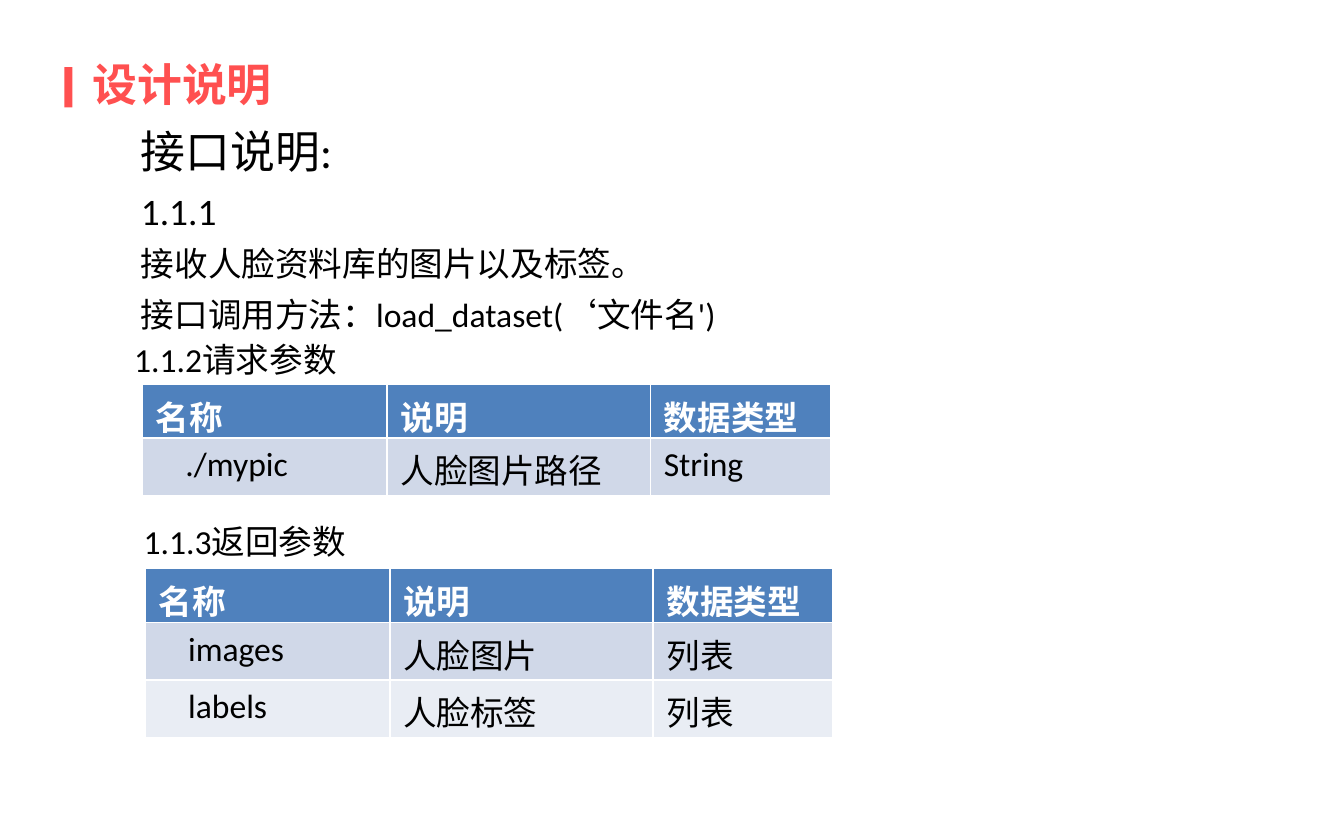
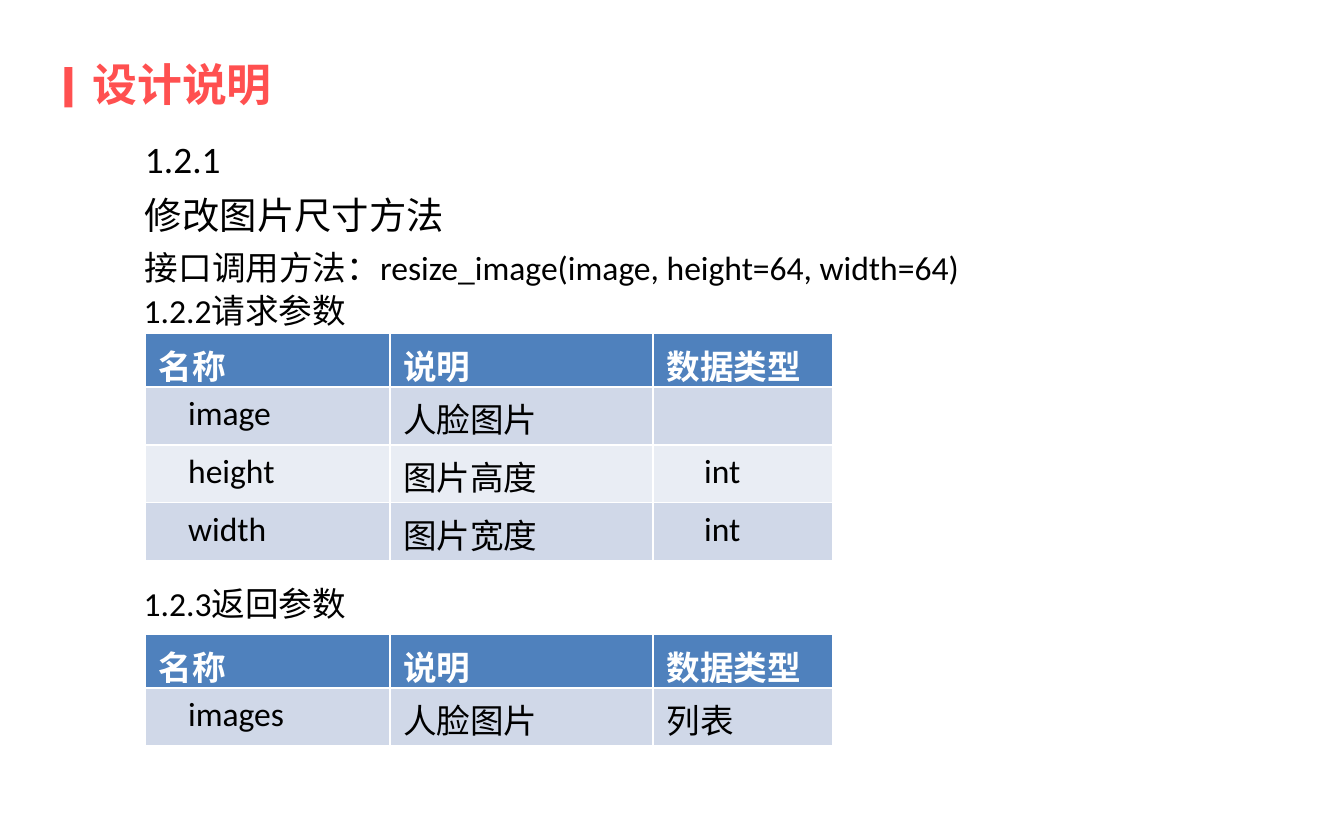
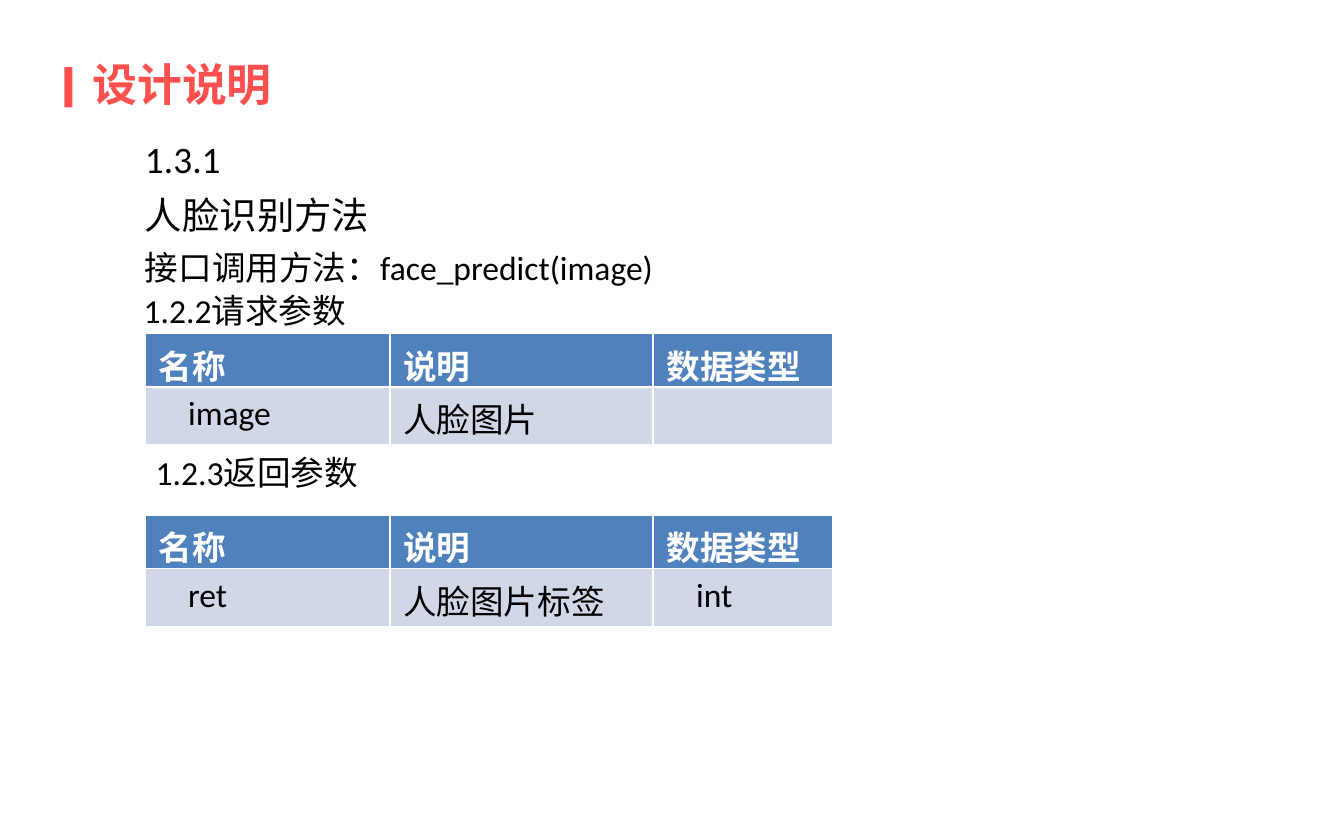
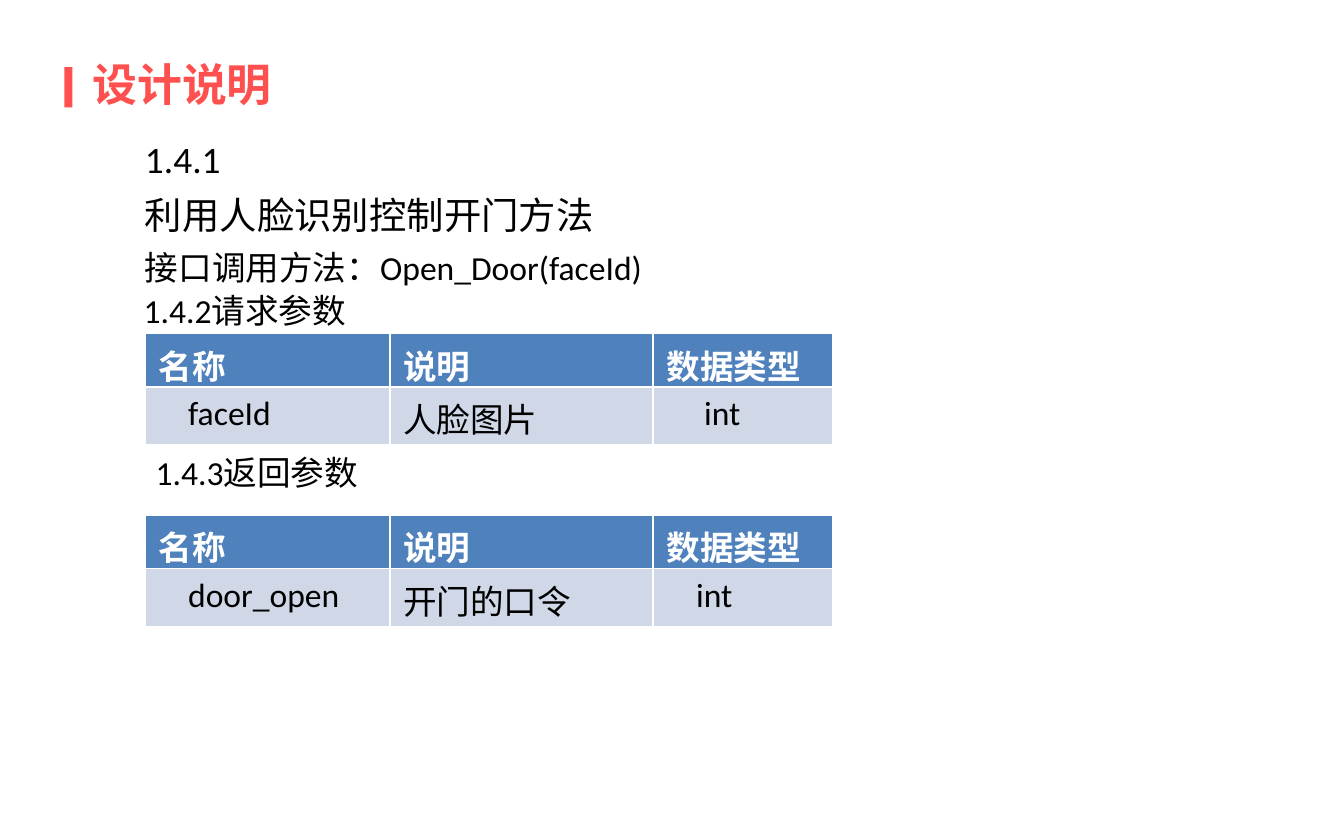
"""Build four interface-description slides with request and return tables."""
from dataclasses import dataclass

from pptx import Presentation
from pptx.dml.color import RGBColor
from pptx.enum.shapes import MSO_SHAPE
from pptx.enum.text import MSO_ANCHOR, MSO_AUTO_SIZE, PP_ALIGN
from pptx.util import Inches, Pt

RECT = MSO_SHAPE.RECTANGLE
TOP = MSO_ANCHOR.TOP
GROW, FIXED = MSO_AUTO_SIZE.SHAPE_TO_FIT_TEXT, MSO_AUTO_SIZE.NONE
LEFT = PP_ALIGN.LEFT

WIDTH, HEIGHT = Inches(10), Inches(6.25)
COLS, ROWS = 100, 62.5


@dataclass(frozen=True)
class Theme:
    """Colours, fonts and type sizes of the deck."""

    accent: str = "FF5050"
    ink: str = "000000"
    paper: str = "FFFFFF"
    header: str = "4F81BD"
    bands: tuple = ("D0D8E8", "E9EDF4")
    title_font: str = "Noto Sans CJK SC"
    body_font: str = "Calibri"
    title: int = 24
    lead: int = 20
    body: int = 18


THEME = Theme()
TITLE = "设计说明"
HEADINGS = ("名称", "说明", "数据类型")
COLUMN_WIDTHS = (18.2, 19.6, 13.4)
HEADER_ROW, BODY_ROW = 4, 4.3
NAME_INDENT, INT_INDENT = 2.2, 2.8


def col(n):
    """Convert grid columns to a length."""
    return int(WIDTH * n / COLS)


def row(n):
    """Convert grid rows to a length."""
    return int(HEIGHT * n / ROWS)


def write(p, text, size=THEME.body, color=THEME.ink, font=THEME.body_font,
          bold=False, level=0, indent=0, hanging=0, spacing=None):
    """Put one formatted run of text into a paragraph."""
    p.alignment = LEFT
    p.level = level
    p.line_spacing = spacing
    if indent:
        pPr = p._p.get_or_add_pPr()
        pPr.set("marL", str(col(indent)))
        pPr.set("indent", str(-col(hanging)))
    r = p.add_run()
    r.text = text
    r.font.size = Pt(size)
    r.font.name = font
    r.font.bold = bold
    r.font.color.rgb = RGBColor.from_string(color)


class Deck:
    """Hold the theme, the presentation and the current slide."""

    def __init__(self, theme):
        """Start an empty presentation."""
        self.theme = theme
        self.prs = Presentation()
        self.prs.slide_width, self.prs.slide_height = WIDTH, HEIGHT
        self.slide = None

    def add_slide(self):
        """Add a slide with the shared title and its marker."""
        t = self.theme
        self.slide = self.prs.slides.add_slide(self.prs.slide_layouts[6])
        self.slide.background.fill.solid()
        self.slide.background.fill.fore_color.rgb = RGBColor.from_string(t.paper)
        self.text(5.9, 3.7, 67.7, 4.6, [(TITLE, t.title)], auto_size=FIXED,
                  color=t.accent, font=t.title_font, bold=True,
                  indent=3.8, hanging=3.8)
        self.bar(4.8, 5, 0.6, 3, t.accent)

    def bar(self, x, y, w, h, color):
        """Draw a plain filled rectangle."""
        sp = self.slide.shapes.add_shape(RECT, col(x), row(y), col(w), row(h))
        sp.shadow.inherit = False
        sp.fill.solid()
        sp.fill.fore_color.rgb = RGBColor.from_string(color)
        sp.line.fill.background()

    def text(self, x, y, w, h, lines, auto_size=GROW, **style):
        """Add a text box with one paragraph for each line and size."""
        sp = self.slide.shapes.add_textbox(col(x), row(y), col(w), row(h))
        tf = sp.text_frame
        tf.word_wrap = True
        tf.auto_size = auto_size
        tf.vertical_anchor = TOP
        for i, (line, size) in enumerate(lines):
            p = tf.add_paragraph() if i else tf.paragraphs[0]
            write(p, line, size=size, **style)

    def intro(self, x, y, w, h, lines):
        """Add the indented introduction of an interface."""
        self.text(x, y, w, h, lines, level=1, indent=4.4, spacing=1.25)

    def table(self, x, y, records, int_indent):
        """Add a parameter table under the shared headings."""
        t = self.theme
        height = HEADER_ROW + BODY_ROW * len(records)
        table = self.slide.shapes.add_table(
            len(records) + 1, len(HEADINGS), col(x), row(y),
            col(sum(COLUMN_WIDTHS)), row(height)).table
        for column, width in zip(table.columns, COLUMN_WIDTHS):
            column.width = col(width)
        for i, record in enumerate([HEADINGS, *records]):
            table.rows[i].height = row(BODY_ROW if i else HEADER_ROW)
            fill = t.bands[(i - 1) % 2] if i else t.header
            for j, value in enumerate(record):
                cell = table.cell(i, j)
                cell.fill.solid()
                cell.fill.fore_color.rgb = RGBColor.from_string(fill)
                indent = 0
                if i and j == 0:
                    indent = NAME_INDENT
                elif value == "int":
                    indent = int_indent
                if value:
                    write(cell.text_frame.paragraphs[0], value, bold=not i,
                          color=t.ink if i else t.paper, indent=indent)

    def parameters(self, label, label_at, table_at, width, records,
                   int_indent=INT_INDENT):
        """Add a labelled parameter table."""
        self.text(*label_at, width, 4, [(label, self.theme.body)])
        self.table(*table_at, records, int_indent)


SECTIONS = [
    {
        "intro_at": (5.1, 7.7, 59.8, 22.9),
        "intro": [("接口说明:", THEME.title), ("1.1.1", THEME.lead),
                  ("接收人脸资料库的图片以及标签。", THEME.body),
                  ("接口调用方法：load_dataset(‘文件名')", THEME.body)],
        "request": ("1.1.2请求参数", (9, 24.7), (10.6, 28.6)),
        "inputs": [("./mypic", "人脸图片路径", "String")],
        "return": ("1.1.3返回参数", (9.7, 38.3), (10.8, 42.3)),
        "outputs": [("images", "人脸图片", "列表"),
                    ("labels", "人脸标签", "列表")],
    },
    {
        "intro": [("1.2.1", THEME.lead), ("修改图片尺寸方法", THEME.lead),
                  ("接口调用方法：resize_image(image, height=64, width=64)",
                   THEME.body)],
        "request": ("1.2.2请求参数",),
        "inputs": [("image", "人脸图片", ""), ("height", "图片高度", "int"),
                   ("width", "图片宽度", "int")],
        "return": ("1.2.3返回参数", (9.7, 42.9), (10.8, 47.2)),
        "outputs": [("images", "人脸图片", "列表")],
    },
    {
        "intro": [("1.3.1", THEME.lead), ("人脸识别方法", THEME.lead),
                  ("接口调用方法：face_predict(image)", THEME.body)],
        "request": ("1.2.2请求参数",),
        "inputs": [("image", "人脸图片", "")],
        "return": ("1.2.3返回参数",),
        "outputs": [("ret", "人脸图片标签", "int")],
    },
    {
        "intro": [("1.4.1", THEME.lead), ("利用人脸识别控制开门方法", THEME.lead),
                  ("接口调用方法：Open_Door(faceId)", THEME.body)],
        "request": ("1.4.2请求参数",),
        "inputs": [("faceId", "人脸图片", "int")],
        "return": ("1.4.3返回参数",),
        "outputs": [("door_open", "开门的口令", "int")],
    },
]
INTRO_AT = (5.4, 8.8, 73.1, 12.9)
REQUEST_AT = ((9.7, 21.1), (10.8, 24.8))
RETURN_AT = ((10.6, 33.1), (10.8, 38.3))


def main():
    """Build every section and save the deck."""
    deck = Deck(THEME)
    for section in SECTIONS:
        deck.add_slide()
        deck.intro(*section.get("intro_at", INTRO_AT), section["intro"])
        label, *places = section["request"]
        deck.parameters(label, *(places or REQUEST_AT), 40.2, section["inputs"])
        label, *places = section["return"]
        deck.parameters(label, *(places or RETURN_AT), 35.2,
                        section["outputs"], int_indent=NAME_INDENT)
    deck.prs.save("out.pptx")


if __name__ == "__main__":
    main()
